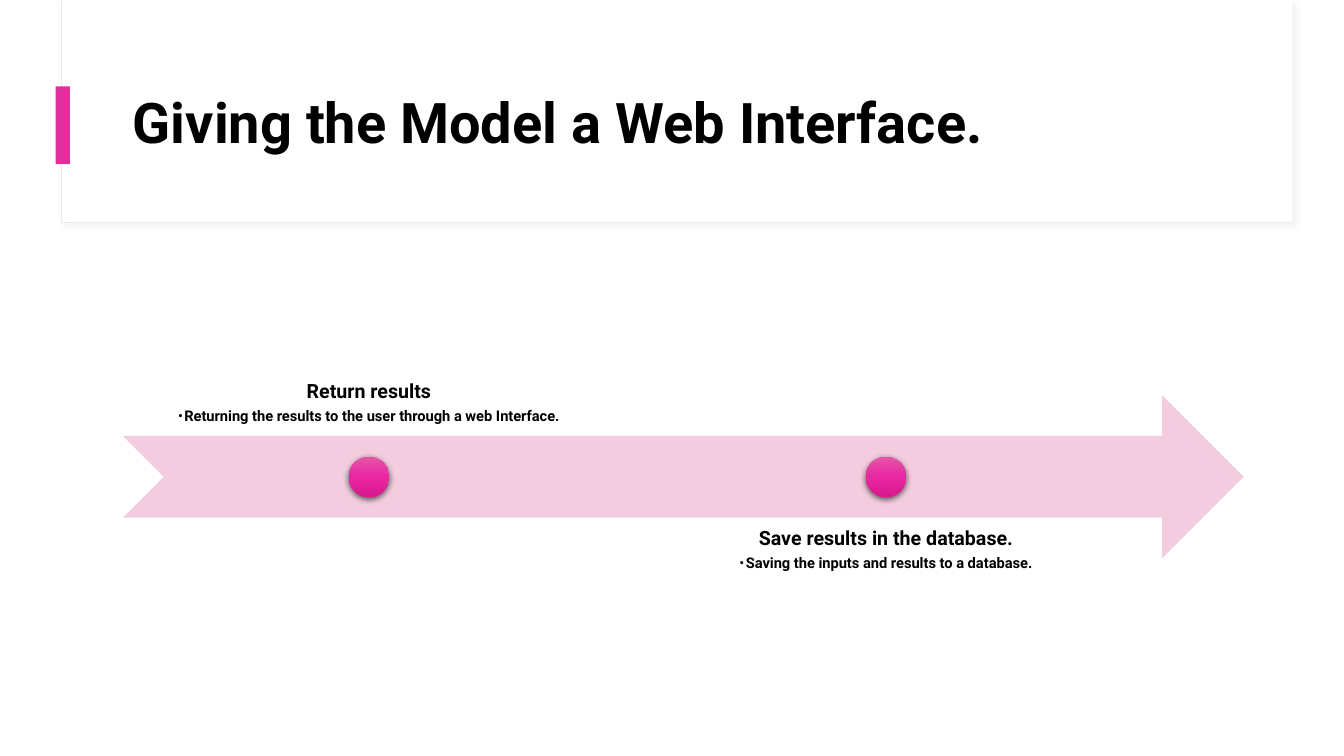
from copy import deepcopy
from dataclasses import dataclass

from lxml.etree import SubElement
from pptx import Presentation
from pptx.dml.color import RGBColor
from pptx.enum.shapes import MSO_SHAPE
from pptx.enum.text import MSO_ANCHOR, PP_ALIGN
from pptx.oxml.ns import qn
from pptx.util import Cm, Pt


@dataclass(frozen=True)
class Theme:
    """Colours, font and type sizes of the slide."""
    font: str = "Roboto"
    text: str = "000000"
    panel: str = "FFFFFF"
    panel_line: str = "F0E7E5"
    panel_shadow: str = "D9D9D9"
    accent: str = "E0309E"
    arrow: str = "F3CDDF"
    dot_stops: tuple = ("E556A9", "E927A0", "D91991")
    title_size: float = 40
    heading_size: float = 14
    detail_size: float = 10.5


THEME = Theme()
MARGIN, CONTENT_WIDTH = 3.1, 28.24
ARROW_TOP, ARROW_HEIGHT = 9.96, 4.11
STEP_WIDTH, DOT_SIZE = 12.4, 1.02
STEPS = (
    (MARGIN, 6.88, MSO_ANCHOR.BOTTOM, "Return results",
     "Returning the results to the user through a web Interface."),
    (16.13, 13.03, MSO_ANCHOR.TOP, "Save results in the database.",
     "Saving the inputs and results to a database."),
)


def set_format(target, values):
    """Set each named attribute of the target."""
    for name, value in values.items():
        setattr(target, name, value)


def add_block(slide, kind, box, color=None, line=None):
    """Add a preset shape without shadow, optionally filled and outlined."""
    shape = slide.shapes.add_shape(kind, *map(Cm, box))
    shape.shadow.inherit = False
    if color:
        shape.fill.solid()
        shape.fill.fore_color.rgb = RGBColor.from_string(color)
    if line:
        shape.line.color.rgb = RGBColor.from_string(line)
        shape.line.width = Pt(0.75)
    else:
        shape.line.fill.background()
    return shape


def add_shadow(shape, color, opacity, blur, distance, angle):
    """Give the shape an outer shadow."""
    effects = shape._element.spPr.find(qn("a:effectLst"))
    shadow = SubElement(effects, qn("a:outerShdw"), {
        "blurRad": str(Pt(blur)), "dist": str(Pt(distance)),
        "dir": str(angle * 60000), "algn": "ctr", "rotWithShape": "0"})
    shade = SubElement(shadow, qn("a:srgbClr"), val=color)
    SubElement(shade, qn("a:alpha"), val=str(opacity * 1000))


def add_text_box(slide, box, anchor, inset):
    """Add a wrapping text box and return its text frame."""
    frame = slide.shapes.add_textbox(*map(Cm, box)).text_frame
    sides = ("left", "top", "right", "bottom")
    set_format(frame, {"word_wrap": True, "vertical_anchor": anchor,
                       **{f"margin_{side}": Cm(inset) for side in sides}})
    return frame


def write_paragraph(paragraph, text, size, **layout):
    """Write bold text into the paragraph with the given layout."""
    run = paragraph.add_run()
    run.text = text
    set_format(run.font, {"name": THEME.font, "size": Pt(size), "bold": True})
    run.font.color.rgb = RGBColor.from_string(THEME.text)
    set_format(paragraph, {"line_spacing": 0.9, **layout})


def add_bullet(paragraph):
    """Put a hanging bullet before the paragraph."""
    properties = paragraph._p.get_or_add_pPr()
    properties.set("marL", str(Cm(0.16)))
    properties.set("indent", str(-Cm(0.16)))
    SubElement(properties, qn("a:buFont"), typeface=THEME.font)
    SubElement(properties, qn("a:buChar"), char="•")


def add_dot(slide, left, top):
    """Add a shaded milestone dot."""
    dot = add_block(slide, MSO_SHAPE.OVAL, (left, top, DOT_SIZE, DOT_SIZE))
    dot.fill.gradient()
    dot.fill.gradient_angle = 270
    stop_list = dot._element.spPr.find(".//" + qn("a:gsLst"))
    stop_list.append(deepcopy(stop_list[-1]))
    for index, (stop, color) in enumerate(zip(dot.fill.gradient_stops, THEME.dot_stops)):
        stop.position = index / 2
        stop.color.rgb = RGBColor.from_string(color)
    add_shadow(dot, THEME.text, 63, 4.5, 1.5, 90)


def add_step(slide, left, top, anchor, heading, detail):
    """Add a step's heading and detail with its dot on the arrow."""
    frame = add_text_box(slide, (left, top, STEP_WIDTH, ARROW_HEIGHT), anchor, 0.28)
    write_paragraph(frame.paragraphs[0], heading, THEME.heading_size,
                    alignment=PP_ALIGN.CENTER, space_after=Pt(4.9))
    bullet = frame.add_paragraph()
    write_paragraph(bullet, detail, THEME.detail_size,
                    alignment=PP_ALIGN.CENTER, space_after=Pt(1.6), level=1)
    add_bullet(bullet)
    add_dot(slide, left + (STEP_WIDTH - DOT_SIZE) / 2,
            ARROW_TOP + (ARROW_HEIGHT - DOT_SIZE) / 2)


def add_header(slide):
    """Add the title panel, its accent bar and the title."""
    panel = add_block(slide, MSO_SHAPE.RECTANGLE, (1.55, 0, 31.01, 5.61),
                      THEME.panel, THEME.panel_line)
    add_shadow(panel, THEME.panel_shadow, 30, 4, 3, 45)
    add_block(slide, MSO_SHAPE.RECTANGLE, (1.57, 0, 30.99, 5.59), THEME.panel)
    add_block(slide, MSO_SHAPE.RECTANGLE, (1.4, 2.18, 0.36, 1.96), THEME.accent)
    frame = add_text_box(slide, (MARGIN, 1.52, CONTENT_WIDTH, 3.28),
                         MSO_ANCHOR.MIDDLE, 0.25)
    write_paragraph(frame.paragraphs[0], "Giving the Model a Web Interface.",
                    THEME.title_size)


def main():
    """Build and save the slide."""
    presentation = Presentation()
    set_format(presentation, {"slide_width": Cm(33.87), "slide_height": Cm(19.05)})
    slide = presentation.slides.add_slide(presentation.slide_layouts[6])
    add_header(slide)
    add_block(slide, MSO_SHAPE.NOTCHED_RIGHT_ARROW,
              (MARGIN, ARROW_TOP, CONTENT_WIDTH, ARROW_HEIGHT), THEME.arrow)
    for step in STEPS:
        add_step(slide, *step)
    presentation.save("out.pptx")


if __name__ == "__main__":
    main()
